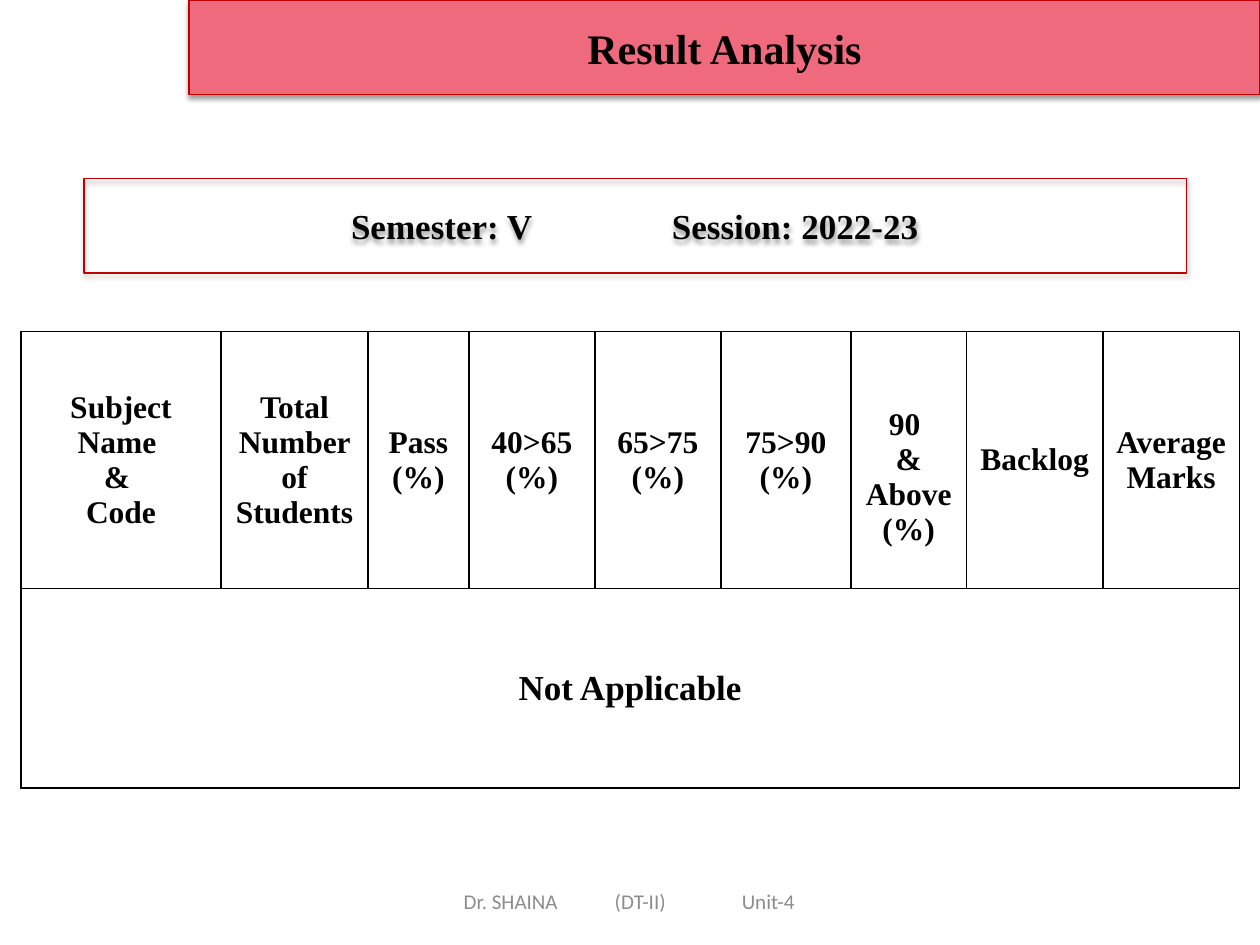
from lxml.etree import SubElement
from pptx import Presentation
from pptx.dml.color import RGBColor
from pptx.enum.shapes import MSO_SHAPE
from pptx.enum.text import MSO_ANCHOR, PP_ALIGN
from pptx.oxml.ns import qn
from pptx.util import Pt

BLACK = RGBColor(0, 0, 0)
GRAY = RGBColor(0x8C, 0x8C, 0x8C)
PINK = RGBColor(0xF0, 0x6A, 0x7D)
RED = RGBColor(0xC0, 0, 0)

COLUMN_WIDTHS = [114.3, 84, 57.7, 72, 72, 74.3, 66, 78, 78]
ROW_HEIGHTS = [147, 114]
HEADINGS = [
    ["Subject Name ", "& ", "Code"],
    ["Total Number of Students"],
    ["Pass (%)"],
    ["40>65 (%)"],
    ["65>75 (%)"],
    ["75>90", "(%)"],
    ["90 ", "& Above (%)"],
    ["Backlog"],
    ["Average Marks"],
]
ABOVE_COLUMN = 6


class SlideBuilder:
    heading_font = "Times New Roman"
    footer_font = "Calibri"

    def __init__(self, slide):
        self.slide = slide

    def add_lines(self, frame, lines, size, font=heading_font, color=BLACK, bold=True):
        frame.word_wrap = True
        for index, line in enumerate(lines):
            paragraph = frame.paragraphs[0] if index == 0 else frame.add_paragraph()
            paragraph.alignment = PP_ALIGN.CENTER
            run = paragraph.add_run()
            run.text = line
            run.font.name = font
            run.font.size = Pt(size)
            run.font.bold = bold
            run.font.color.rgb = color

    def align_parts(self, frame, start, stops):
        frame.margin_left = Pt(start)
        paragraph = frame.paragraphs[0]
        paragraph.alignment = PP_ALIGN.LEFT
        properties = paragraph._p.get_or_add_pPr()
        tab_list = SubElement(properties, qn("a:tabLst"))
        for stop in stops:
            SubElement(tab_list, qn("a:tab"), pos=str(Pt(stop)), algn="l")

    def add_shadow(self, shape):
        shape.shadow.inherit = False
        effects = shape._element.spPr.find(qn("a:effectLst"))
        shadow = SubElement(effects, qn("a:outerShdw"), blurRad=str(Pt(3.1)),
                            dist=str(Pt(1.6)), dir="5400000", rotWithShape="0")
        color = SubElement(shadow, qn("a:srgbClr"), val=str(BLACK))
        SubElement(color, qn("a:alpha"), val="38000")

    def add_banner(self, left, top, width, height, text, size, fill=None):
        shape = self.slide.shapes.add_shape(
            MSO_SHAPE.RECTANGLE, Pt(left), Pt(top), Pt(width), Pt(height))
        if fill is None:
            shape.fill.background()
        else:
            shape.fill.solid()
            shape.fill.fore_color.rgb = fill
        shape.line.color.rgb = RED
        shape.line.width = Pt(0.75)
        self.add_shadow(shape)
        shape.text_frame.vertical_anchor = MSO_ANCHOR.MIDDLE
        self.add_lines(shape.text_frame, [text], size)
        return shape

    def add_footer(self, left, top, width, height, text):
        shape = self.slide.shapes.add_textbox(Pt(left), Pt(top), Pt(width), Pt(height))
        shape.text_frame.vertical_anchor = MSO_ANCHOR.MIDDLE
        self.add_lines(shape.text_frame, [text], 12, self.footer_font, GRAY, False)
        return shape

    def style_cell(self, cell):
        cell.vertical_anchor = MSO_ANCHOR.MIDDLE
        properties = cell._tc.get_or_add_tcPr()
        for side in ("lnL", "lnR", "lnT", "lnB"):
            border = SubElement(properties, qn(f"a:{side}"), w=str(Pt(1)))
            fill = SubElement(border, qn("a:solidFill"))
            SubElement(fill, qn("a:srgbClr"), val=str(BLACK))
        cell.fill.background()

    def add_result_table(self, left, top):
        table = self.slide.shapes.add_table(
            len(ROW_HEIGHTS), len(COLUMN_WIDTHS), Pt(left), Pt(top),
            Pt(sum(COLUMN_WIDTHS)), Pt(sum(ROW_HEIGHTS))).table
        table.first_row = False
        table.horz_banding = False
        for column, width in zip(table.columns, COLUMN_WIDTHS):
            column.width = Pt(width)
        for row, height in zip(table.rows, ROW_HEIGHTS):
            row.height = Pt(height)
        for cell in table.iter_cells():
            self.style_cell(cell)
        for index, lines in enumerate(HEADINGS):
            self.add_lines(table.cell(0, index).text_frame, lines, 18)
        table.cell(0, ABOVE_COLUMN).margin_top = Pt(23.6)
        result = table.cell(1, 0)
        result.merge(table.cell(1, len(COLUMN_WIDTHS) - 1))
        self.add_lines(result.text_frame, ["Not Applicable"], 20)


def main():
    presentation = Presentation()
    presentation.slide_width = Pt(720)
    presentation.slide_height = Pt(540)
    builder = SlideBuilder(presentation.slides.add_slide(presentation.slide_layouts[6]))
    builder.add_banner(108, 0, 612, 54, "Result Analysis", 24, PINK)
    builder.add_result_table(12, 189.4)
    session = builder.add_banner(48, 102, 630, 54, "Semester: V\tSession: 2022-23", 20)
    builder.align_parts(session.text_frame, 152.6, [183.4])
    footer = builder.add_footer(246, 500.5, 228, 28.75, "Dr. SHAINA\t(DT-II)\tUnit-4")
    builder.align_parts(footer.text_frame, 19, [86.3, 158.9])
    presentation.save("out.pptx")


if __name__ == "__main__":
    main()
